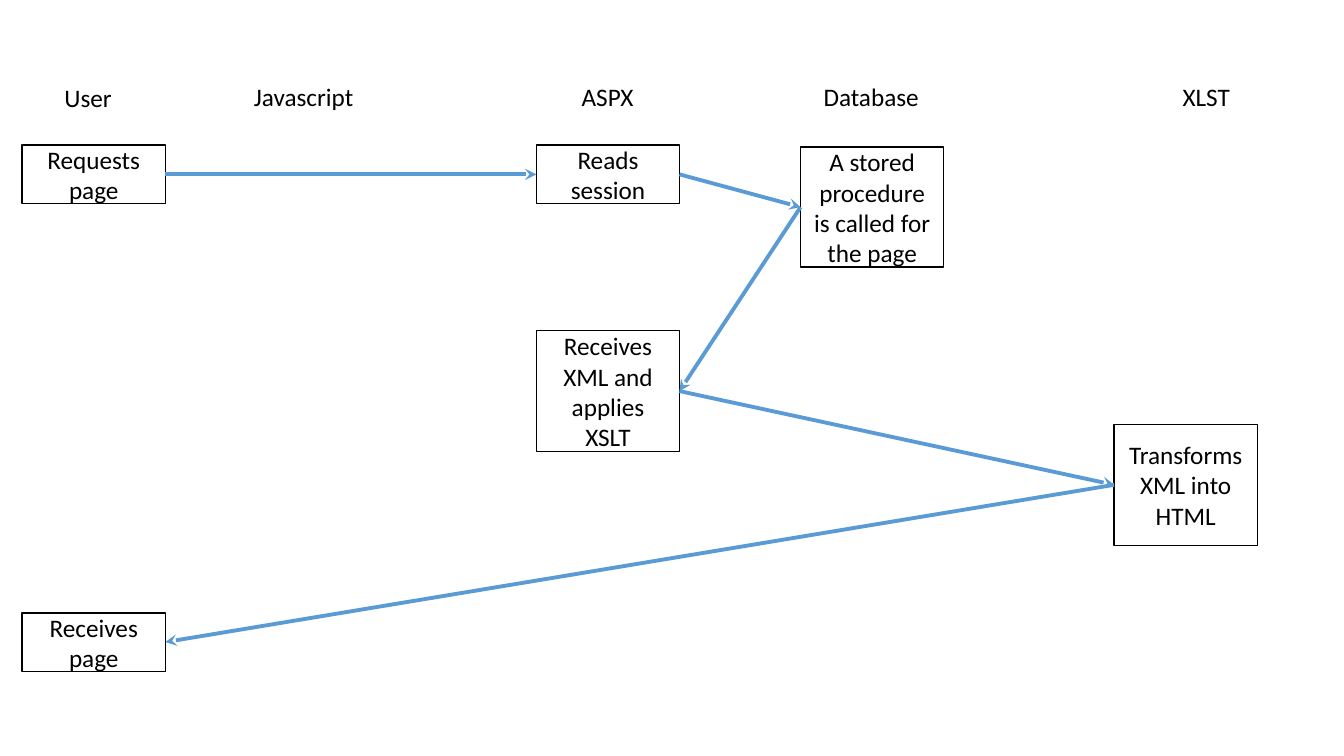
from dataclasses import dataclass

from lxml import etree
from pptx import Presentation
from pptx.dml.color import RGBColor
from pptx.enum import shapes, text
from pptx.oxml import ns
from pptx.util import Inches, Pt

BLACK = "000000"
BLUE = "5B9BD5"
LEFT_SIDE, RIGHT_SIDE = 1, 3


@dataclass(frozen=True)
class Heading:
    label: str
    left: float
    width: float
    top: float = 0.76


@dataclass(frozen=True)
class Step:
    label: str
    left: float
    top: float
    height: float = 0.58


@dataclass(frozen=True)
class Flow:
    start: str
    start_side: int
    end: str
    end_side: int


USER, ASPX, DATABASE, XSLT = 0.22, 5.32, 7.94, 11.05

HEADINGS = [
    Heading("User", 0.54, 0.68, 0.77),
    Heading("Javascript", 2.42, 1.2),
    Heading("ASPX", 5.67, 0.72),
    Heading("Database", 8.07, 1.16),
    Heading("XLST", 11.63, 0.68),
]

STEPS = {
    "request": Step("Requests page", USER, 1.44),
    "session": Step("Reads session", ASPX, 1.44),
    "procedure": Step("A stored procedure is called for the page", DATABASE, 1.46, 1.19),
    "apply": Step("Receives XML and applies XSLT", ASPX, 3.28, 1.2),
    "transform": Step("Transforms XML into HTML", XSLT, 4.21, 1.2),
    "receive": Step("Receives page", USER, 6.08),
}

FLOWS = [
    Flow("request", RIGHT_SIDE, "session", LEFT_SIDE),
    Flow("session", RIGHT_SIDE, "procedure", LEFT_SIDE),
    Flow("procedure", LEFT_SIDE, "apply", RIGHT_SIDE),
    Flow("apply", RIGHT_SIDE, "transform", LEFT_SIDE),
    Flow("transform", LEFT_SIDE, "receive", RIGHT_SIDE),
]


def colour(value: str) -> RGBColor:
    """Turn a hex string into a colour."""
    return RGBColor.from_string(value)


def write(frame, label: str) -> None:
    """Put one paragraph in the slide's text style into a frame."""
    frame.text = label
    paragraph = frame.paragraphs[0]
    paragraph.font.name = "Calibri"
    paragraph.font.size = Pt(18)
    paragraph.font.color.rgb = colour(BLACK)


def draw_heading(page, heading: Heading) -> None:
    """Add the name of a column."""
    box = page.shapes.add_textbox(
        Inches(heading.left), Inches(heading.top), Inches(heading.width), Inches(0.4)
    )
    box.text_frame.word_wrap = False
    box.text_frame.auto_size = text.MSO_AUTO_SIZE.SHAPE_TO_FIT_TEXT
    write(box.text_frame, heading.label)


def draw_step(page, step: Step):
    """Add an outlined box with centred text and return it."""
    box = page.shapes.add_shape(
        shapes.MSO_SHAPE.RECTANGLE,
        Inches(step.left), Inches(step.top), Inches(1.42), Inches(step.height),
    )
    box.shadow.inherit = False
    box.fill.background()
    box.line.color.rgb = colour(BLACK)
    box.line.width = Pt(1)
    frame = box.text_frame
    frame.word_wrap = True
    frame.vertical_anchor = text.MSO_ANCHOR.MIDDLE
    write(frame, step.label)
    frame.paragraphs[0].alignment = text.PP_ALIGN.CENTER
    return box


def draw_flow(page, flow: Flow, boxes: dict) -> None:
    """Join two boxes with an arrow glued to their sides."""
    arrow = page.shapes.add_connector(shapes.MSO_CONNECTOR.STRAIGHT, 0, 0, 0, 0)
    arrow.begin_connect(boxes[flow.start], flow.start_side)
    arrow.end_connect(boxes[flow.end], flow.end_side)
    arrow.line.color.rgb = colour(BLUE)
    arrow.line.width = Pt(2.75)
    properties = arrow.line._get_or_add_ln()
    etree.SubElement(properties, ns.qn("a:tailEnd"), type="stealth")
    etree.SubElement(arrow._element.spPr, ns.qn("a:effectLst"))


def main() -> None:
    """Build the page request flow and save it."""
    deck = Presentation()
    deck.slide_width, deck.slide_height = Inches(13.33), Inches(7.5)
    page = deck.slides.add_slide(deck.slide_layouts[6])
    for heading in HEADINGS:
        draw_heading(page, heading)
    boxes = {name: draw_step(page, step) for name, step in STEPS.items()}
    for flow in FLOWS:
        draw_flow(page, flow, boxes)
    deck.save("out.pptx")


main()
